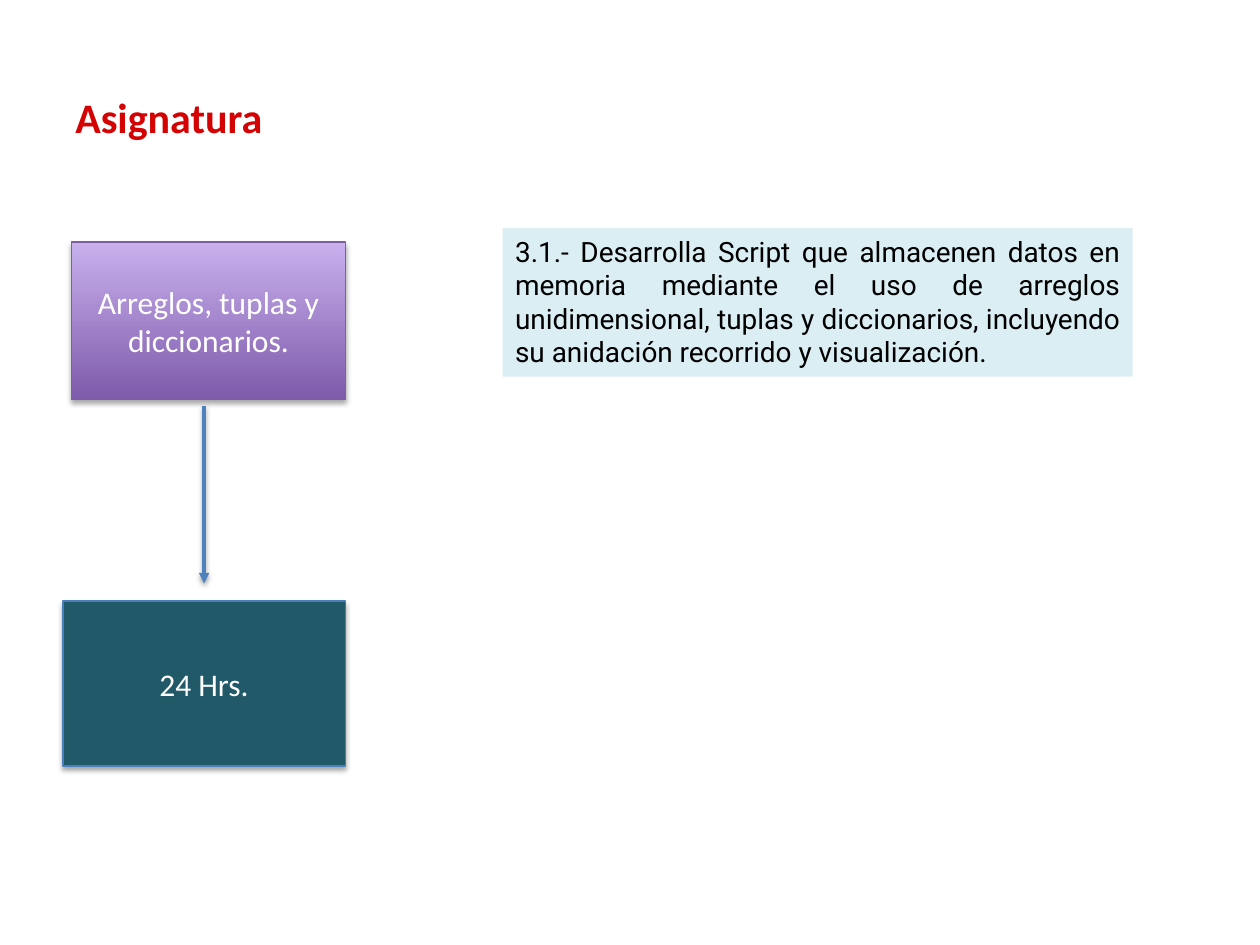
from lxml.etree import SubElement
from pptx import Presentation
from pptx.dml.color import RGBColor
from pptx.enum.shapes import MSO_CONNECTOR, MSO_SHAPE
from pptx.enum.text import MSO_ANCHOR, MSO_AUTO_SIZE, PP_ALIGN
from pptx.oxml.ns import qn
from pptx.util import Inches, Pt

COLS, ROWS = 100, 75


def color(code):
    return RGBColor.from_string(code)


class Deck:
    """Holds the style and the current slide; lengths are grid columns and rows."""

    font = "Calibri"
    white = "FFFFFF"

    def __init__(self):
        self.prs = Presentation()
        self.prs.slide_width, self.prs.slide_height = Inches(10), Inches(7.5)
        self.slide = self.prs.slides.add_slide(self.prs.slide_layouts[6])

    def grid(self, *cells):
        """Turn alternating columns and rows into lengths."""
        units = (self.prs.slide_width / COLS, self.prs.slide_height / ROWS)
        return [round(n * units[i % 2]) for i, n in enumerate(cells)]

    def label(self, shape, text, size, ink, font=None, bold=False,
              align=PP_ALIGN.LEFT, anchor=MSO_ANCHOR.MIDDLE):
        frame = shape.text_frame
        frame.word_wrap = True
        frame.vertical_anchor = anchor
        para = frame.paragraphs[0]
        para.alignment = align
        run = para.add_run()
        run.text = text
        run.font.name = font or self.font
        run.font.size = Pt(size)
        run.font.bold = bold
        run.font.color.rgb = color(ink)

    def shade(self, shape, blur, dist, alpha):
        """Put a soft black shadow straight below the shape."""
        props = shape._element.spPr
        effects = props.find(qn("a:effectLst"))
        if effects is None:
            effects = SubElement(props, qn("a:effectLst"))
        outer = SubElement(effects, qn("a:outerShdw"), blurRad=str(Pt(blur)),
                           dist=str(Pt(dist)), dir="5400000", rotWithShape="0")
        black = SubElement(outer, qn("a:srgbClr"), val="000000")
        SubElement(black, qn("a:alpha"), val=str(alpha * 1000))

    def title(self, text, cells, ink):
        box = self.slide.shapes.add_textbox(*self.grid(*cells))
        self.label(box, text, 24, ink, bold=True)

    def panel(self, cells, fills, edge=None):
        """Add a box with one fill colour, or two running from bottom to top."""
        box = self.slide.shapes.add_shape(MSO_SHAPE.RECTANGLE, *self.grid(*cells))
        box.shadow.inherit = False
        if len(fills) == 1:
            box.fill.solid()
            box.fill.fore_color.rgb = color(fills[0])
        else:
            box.fill.gradient()
            box.fill.gradient_angle = 90
            for stop, code, place in zip(box.fill.gradient_stops, fills, (0, 1)):
                stop.color.rgb = color(code)
                stop.position = place
        if edge:
            box.line.color.rgb = color(edge)
            box.line.width = Pt(0.75)
        else:
            box.line.fill.background()
        return box

    def block(self, text, cells, fills, edge):
        box = self.panel(cells, fills, edge)
        self.shade(box, 3.1, 1.8, 35)
        self.label(box, text, 18, self.white, align=PP_ALIGN.CENTER)

    def note(self, text, cells, fill):
        box = self.panel(cells, [fill])
        self.label(box, text, 16, "000000", font="Roboto",
                   align=PP_ALIGN.JUSTIFY, anchor=MSO_ANCHOR.TOP)
        box.text_frame.auto_size = MSO_AUTO_SIZE.SHAPE_TO_FIT_TEXT

    def arrow(self, ends, ink):
        line = self.slide.shapes.add_connector(MSO_CONNECTOR.STRAIGHT, *self.grid(*ends))
        line.line.color.rgb = color(ink)
        line.line.width = Pt(2)
        SubElement(line._element.spPr.find(qn("a:ln")), qn("a:tailEnd"), type="triangle")
        self.shade(line, 3.1, 1.6, 38)


def main():
    deck = Deck()

    # Heading
    deck.title("Asignatura", (5, 3, 90, 12.5), "D40202")

    # Topic, leading down to its hours
    deck.block("Arreglos, tuplas y diccionarios.", (5.7, 19.2, 21.7, 12.5),
               ["7F5BAB", "C8B0ED"], "7D60A0")
    deck.arrow((16.2, 32.2, 16.2, 46.3), "4F81BD")
    deck.block("24 Hrs.", (5, 47.7, 22.4, 13.1), ["215968"], "4B7EBC")

    # Learning goal
    deck.note("3.1.- Desarrolla Script que almacenen datos en memoria mediante "
              "el uso de arreglos unidimensional, tuplas y diccionarios, "
              "incluyendo su anidación recorrido y visualización.",
              (39.9, 18.1, 50, 11.8), "DBEEF4")

    deck.prs.save("out.pptx")


if __name__ == "__main__":
    main()
